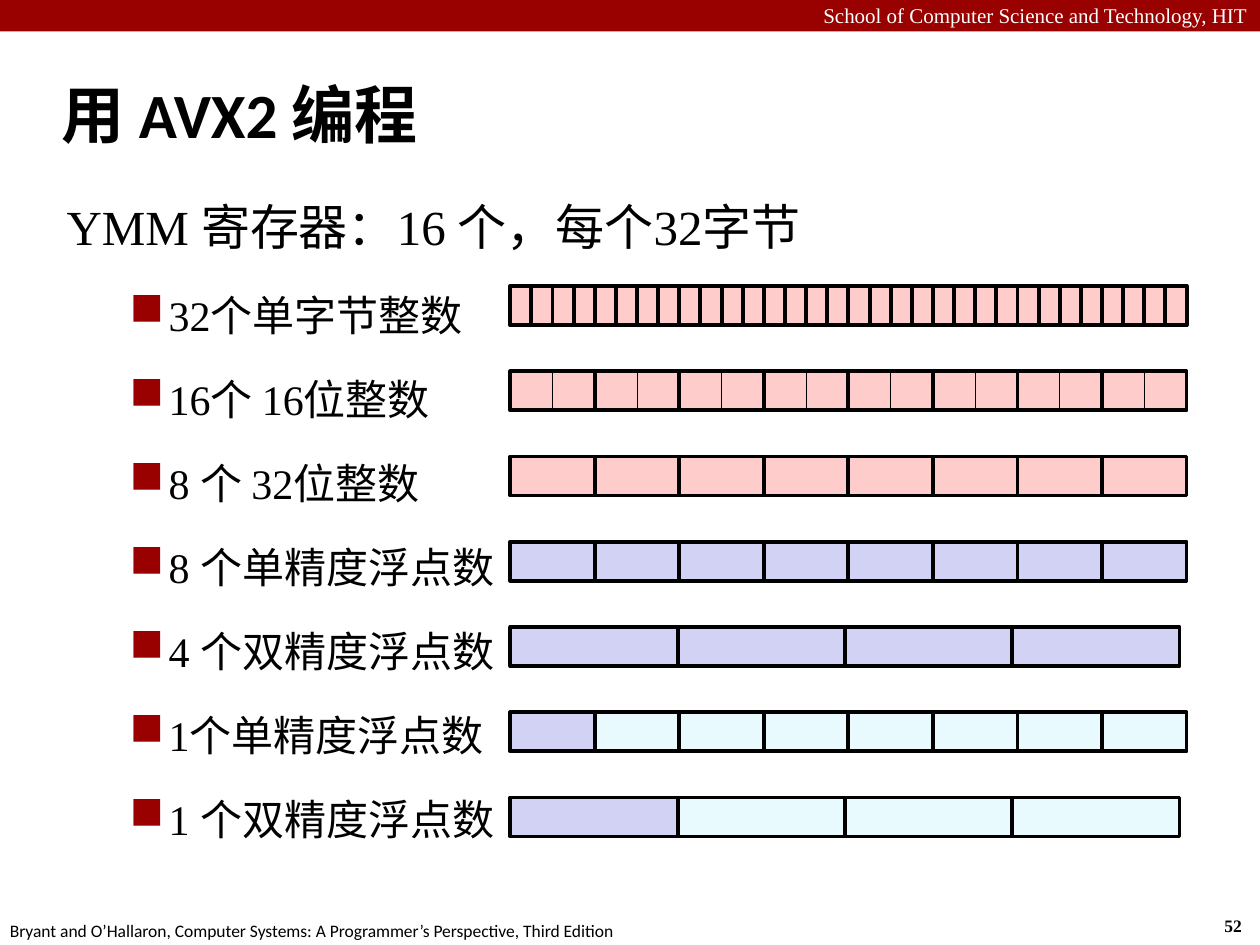
from lxml import etree
from pptx import Presentation
from pptx import util as u
from pptx.dml.color import RGBColor
from pptx.enum import shapes, text
from pptx.oxml import ns

WIDE, HIGH = u.Inches(10), u.Inches(7.5)
RED = RGBColor(0x99, 0x00, 0x00)
BLACK = RGBColor(0x00, 0x00, 0x00)
WHITE = RGBColor(0xFF, 0xFF, 0xFF)
PINK = RGBColor(0xFF, 0xCC, 0xCC)
LILAC = RGBColor(0xD2, 0xD2, 0xF4)
ICE = RGBColor(0xE9, 0xFA, 0xFF)
SERIF, SANS = "Times New Roman", "Calibri"

LEFT, TOP = 40.5, 30.27
PITCH, TALL = 9.02, 4.13
OCTET, QUAD = 6.71, 13.28
THICK, THIN = 2.25, 0.5

LANES = [
    ("32个单字节整数", [(32, OCTET / 4, [PINK], THICK)]),
    ("16个 16位整数", [(16, OCTET / 2, [PINK], THIN), (8, OCTET, [None], THICK)]),
    ("8 个 32位整数", [(8, OCTET, [PINK], THICK)]),
    ("8 个单精度浮点数", [(8, OCTET, [LILAC], THICK)]),
    ("4 个双精度浮点数", [(4, QUAD, [LILAC], THICK)]),
    ("1个单精度浮点数", [(8, OCTET, [LILAC, ICE], THICK)]),
    ("1 个双精度浮点数", [(4, QUAD, [LILAC, ICE], THICK)]),
]


def share(x, y, w, h):
    return [int(part * whole / 100)
            for part, whole in zip((x, y, w, h), (WIDE, HIGH, WIDE, HIGH))]


def add_rect(parent, area, fill, line=None):
    rect = parent.add_shape(shapes.MSO_SHAPE.RECTANGLE, *share(*area))
    rect.shadow.inherit = False
    if fill is None:
        rect.fill.background()
    else:
        rect.fill.solid()
        rect.fill.fore_color.rgb = fill
    if line is None:
        rect.line.fill.background()
    else:
        rect.line.color.rgb = BLACK
        rect.line.width = u.Pt(line)


def add_box(slide, area, wrap=True):
    frame = slide.shapes.add_textbox(*share(*area)).text_frame
    frame.word_wrap = wrap
    return frame


def add_run(para, words, size, face, color=BLACK, bold=False):
    run = para.add_run()
    run.text = words
    font = run.font
    font.size, font.name, font.bold = u.Pt(size), face, bold
    font.color.rgb = color


def indent(para, left, hang):
    props = para._p.get_or_add_pPr()
    props.set("marL", str(u.Inches(left)))
    props.set("indent", str(-u.Inches(hang)))
    return props


def add_mark(props):
    tint = etree.SubElement(props, ns.qn("a:buClr"))
    etree.SubElement(tint, ns.qn("a:srgbClr"), val=str(RED))
    etree.SubElement(props, ns.qn("a:buSzPct"), val="110000")
    etree.SubElement(props, ns.qn("a:buChar"), char="■")


def add_frame(slide):
    add_rect(slide.shapes, (0, 0, 100, 3.33), RED)
    para = add_box(slide, (0, -0.4, 100, 4)).paragraphs[0]
    para.alignment = text.PP_ALIGN.RIGHT
    add_run(para, "School of Computer Science and Technology, HIT", 12, SERIF, WHITE)
    page = add_box(slide, (96.2, 96.13, 3.7, 3.6), False)
    add_run(page.paragraphs[0], "52", 10, SERIF, bold=True)
    foot = add_box(slide, (-0.2, 96.67, 50.8, 3.6), False)
    add_run(foot.paragraphs[0],
            "Bryant and O’Hallaron, Computer Systems: "
            "A Programmer’s Perspective, Third Edition", 10, SANS)


def add_title(slide):
    frame = add_box(slide, (3.9, 6.4, 96.1, 11.07))
    frame.vertical_anchor = text.MSO_ANCHOR.MIDDLE
    para = frame.paragraphs[0]
    indent(para, 0.13, 0.13)
    add_run(para, "用 AVX2 编程", 36, SANS, bold=True)


def add_list(slide):
    frame = add_box(slide, (4.3, 19.87, 94, 76.8))
    head = frame.paragraphs[0]
    indent(head, 0.38, 0.38)
    head.line_spacing = 1.05
    add_run(head, "YMM 寄存器：16 个，每个32字节", 28, SERIF)
    for label, _ in LANES:
        para = frame.add_paragraph()
        para.level = 1
        add_mark(indent(para, 0.81, 0.31))
        para.line_spacing = 1.5
        para.space_before = u.Pt(4.8)
        add_run(para, label, 24, SERIF)


def add_lane(slide, row, layers):
    group = slide.shapes.add_group_shape()
    for count, step, fills, line in layers:
        for col in range(count):
            area = (LEFT + col * step, TOP + row * PITCH, step, TALL)
            add_rect(group.shapes, area, fills[min(col, len(fills) - 1)], line)


def main():
    deck = Presentation()
    deck.slide_width, deck.slide_height = WIDE, HIGH
    slide = deck.slides.add_slide(deck.slide_layouts[6])
    add_frame(slide)
    add_title(slide)
    add_list(slide)
    for row, (_, layers) in enumerate(LANES):
        add_lane(slide, row, layers)
    deck.save("out.pptx")


if __name__ == "__main__":
    main()
